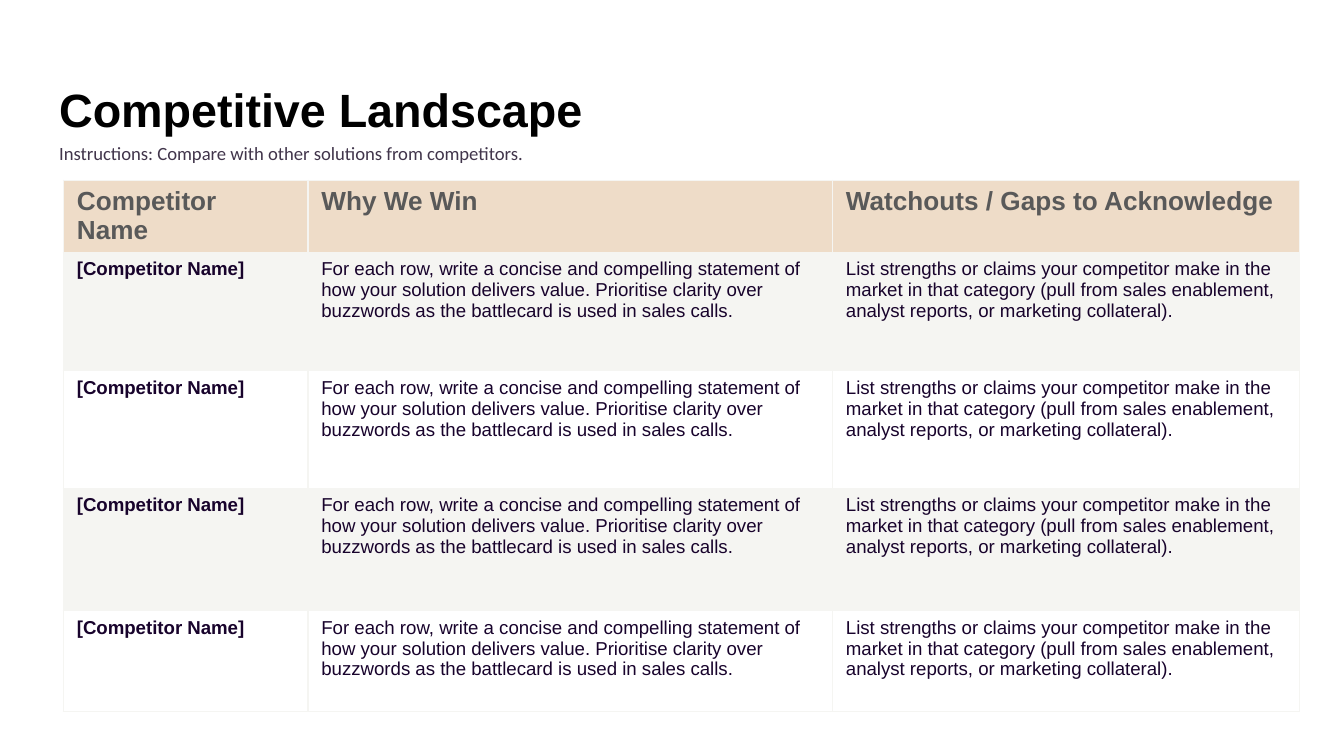
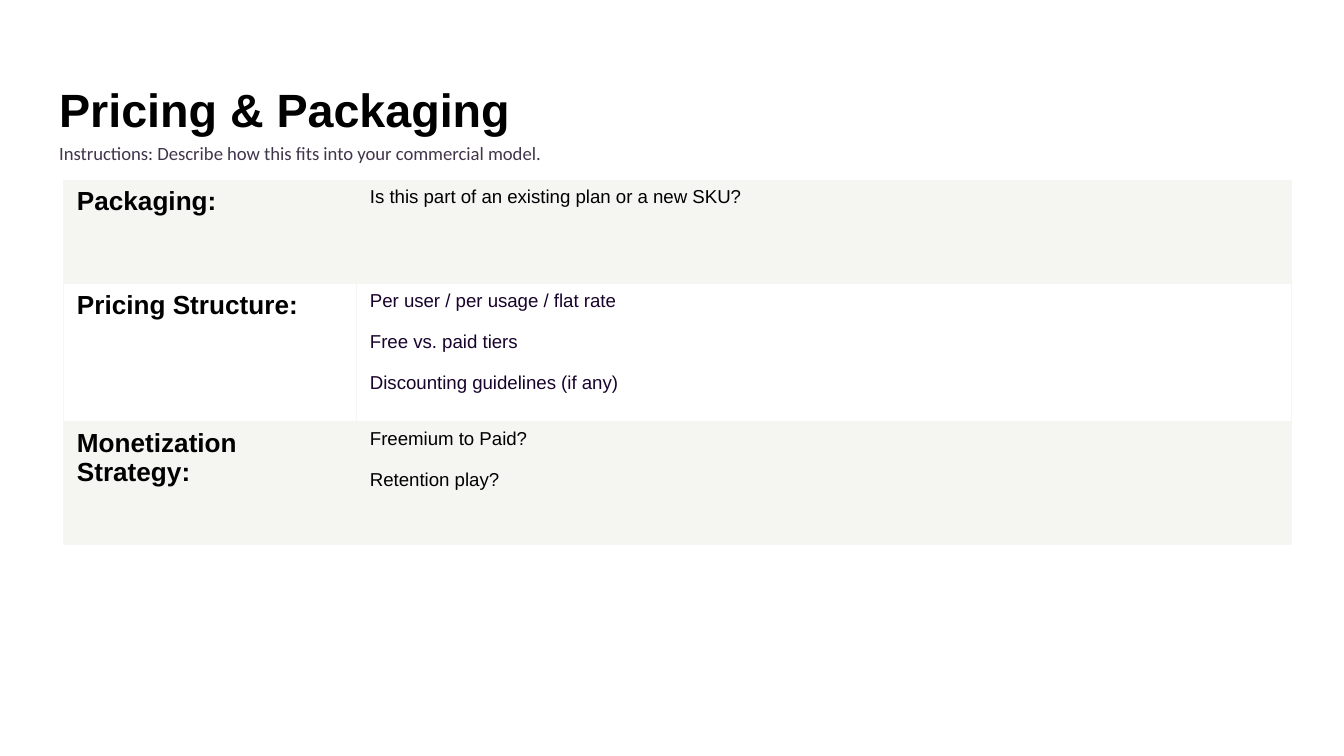
from lxml import etree
from pptx import Presentation
from pptx.dml.color import RGBColor
from pptx.enum.text import MSO_ANCHOR, MSO_AUTO_SIZE, PP_ALIGN
from pptx.oxml.ns import qn
from pptx.util import Pt

TOP, BOTTOM = MSO_ANCHOR.TOP, MSO_ANCHOR.BOTTOM
LEFT = PP_ALIGN.LEFT
NO_FIT = MSO_AUTO_SIZE.NONE
SECTION_LAYOUT = 2

COLORS = {
    "black": "000000",
    "white": "FFFFFF",
    "sand": "EEDCC8",
    "stone": "F5F5F2",
    "gray": "595959",
    "ink": "18032C",
    "plum": "41354B",
}
HEADING, BODY = 14, 10
TABLE_LEFT, TABLE_TOP = 34, 96.5


class Deck:
    def __init__(self):
        self.prs = Presentation()
        self.prs.slide_width, self.prs.slide_height = Pt(720), Pt(405)
        self.s = None

    def add_slide(self, title, instructions):
        self.s = self.prs.slides.add_slide(self.prs.slide_layouts[SECTION_LAYOUT])
        fill = self.s.background.fill
        fill.solid()
        fill.fore_color.rgb = RGBColor.from_string(COLORS["white"])
        heading, body = self.s.placeholders
        self.placeholder(heading, (24.5, 35.5, 618.5, 45), BOTTOM)
        r = self.run(heading.text_frame.paragraphs[0], title, 25, "black", bold=True)
        r._r.get_or_add_rPr().set("cap", "none")
        self.placeholder(body, (24.5, 67, 667.5, 26.5), TOP)
        p = body.text_frame.paragraphs[0]
        p.line_spacing = 1.15
        self.run(p, instructions, BODY, "plum", font="Calibri")

    def placeholder(self, sp, box, anchor):
        sp.left, sp.top, sp.width, sp.height = map(Pt, box)
        tf = sp.text_frame
        tf.margin_left = tf.margin_right = tf.margin_top = tf.margin_bottom = Pt(7.2)
        tf.vertical_anchor = anchor
        tf.auto_size = NO_FIT
        tf.word_wrap = True
        p = tf.paragraphs[0]
        p.alignment = LEFT
        p.space_before = Pt(0)

    def run(self, p, text, size, color, bold=False, font="Arial"):
        r = p.add_run()
        r.text = text
        r.font.size = Pt(size)
        r.font.name = font
        r.font.bold = bold
        r.font.color.rgb = RGBColor.from_string(COLORS[color])
        return r

    def table(self, widths, heights, header=False):
        frame = self.s.shapes.add_table(
            len(heights), len(widths), Pt(TABLE_LEFT), Pt(TABLE_TOP),
            Pt(sum(widths)), Pt(sum(heights)))
        table = frame.table
        table.first_row = header
        table.horz_banding = False
        for column, width in zip(table.columns, widths):
            column.width = Pt(width)
        for row, height in zip(table.rows, heights):
            row.height = Pt(height)
        return table

    def cell(self, cell, lines, fill, size, color, bold=False):
        """Fill one table cell; lines become spaced paragraphs."""
        cell.margin_left = cell.margin_right = Pt(7.2)
        cell.margin_top = cell.margin_bottom = Pt(3.6)
        self.borders(cell)
        cell.fill.solid()
        cell.fill.fore_color.rgb = RGBColor.from_string(COLORS[fill])
        tf = cell.text_frame
        for i, line in enumerate(lines):
            p = tf.add_paragraph() if i else tf.paragraphs[0]
            p.space_before = Pt(11 if i else 0)
            self.run(p, line, size, color, bold)

    def borders(self, cell):
        tc_pr = cell._tc.get_or_add_tcPr()
        for side in ("lnL", "lnR", "lnT", "lnB"):
            ln = etree.SubElement(tc_pr, qn(f"a:{side}"), w=str(Pt(0.75)))
            fill = etree.SubElement(ln, qn("a:solidFill"))
            etree.SubElement(fill, qn("a:srgbClr"), val=COLORS["stone"])


def competitive_landscape(deck):
    deck.add_slide("Competitive Landscape",
                   "Instructions: Compare with other solutions from competitors.")
    headers = ["Competitor Name", "Why We Win", "Watchouts / Gaps to Acknowledge"]
    entry = [
        "[Competitor Name]",
        "For each row, write a concise and compelling statement of how your solution "
        "delivers value. Prioritise clarity over buzzwords as the battlecard is used "
        "in sales calls.",
        "List strengths or claims your competitor make in the market in that category "
        "(pull from sales enablement, analyst reports, or marketing collateral).",
    ]
    heights = [38.5, 63.5, 63, 65.5, 54]
    table = deck.table([131, 281, 250], heights, header=True)
    for col, text in enumerate(headers):
        deck.cell(table.cell(0, col), [text], "sand", HEADING, "gray", bold=True)
    for row in range(1, len(heights)):
        fill = "stone" if row % 2 else "white"
        for col, text in enumerate(entry):
            deck.cell(table.cell(row, col), [text], fill, BODY, "ink", bold=col == 0)


def pricing_and_packaging(deck):
    deck.add_slide("Pricing & Packaging",
                   "Instructions: Describe how this fits into your commercial model.")
    topics = [
        ("Packaging:", "stone", "black",
         ["Is this part of an existing plan or a new SKU?"]),
        ("Pricing Structure:", "white", "ink",
         ["Per user / per usage / flat rate", "Free vs. paid tiers",
          "Discounting guidelines (if any)"]),
        ("Monetization Strategy:", "stone", "black",
         ["Freemium to Paid?", "Retention play?"]),
    ]
    table = deck.table([157, 501], [55.5, 74, 65.5])
    for row, (topic, fill, color, points) in enumerate(topics):
        deck.cell(table.cell(row, 0), [topic], fill, HEADING, "black", bold=True)
        deck.cell(table.cell(row, 1), points, fill, BODY, color)


def main():
    deck = Deck()
    competitive_landscape(deck)
    pricing_and_packaging(deck)
    deck.prs.save("out.pptx")


if __name__ == "__main__":
    main()
